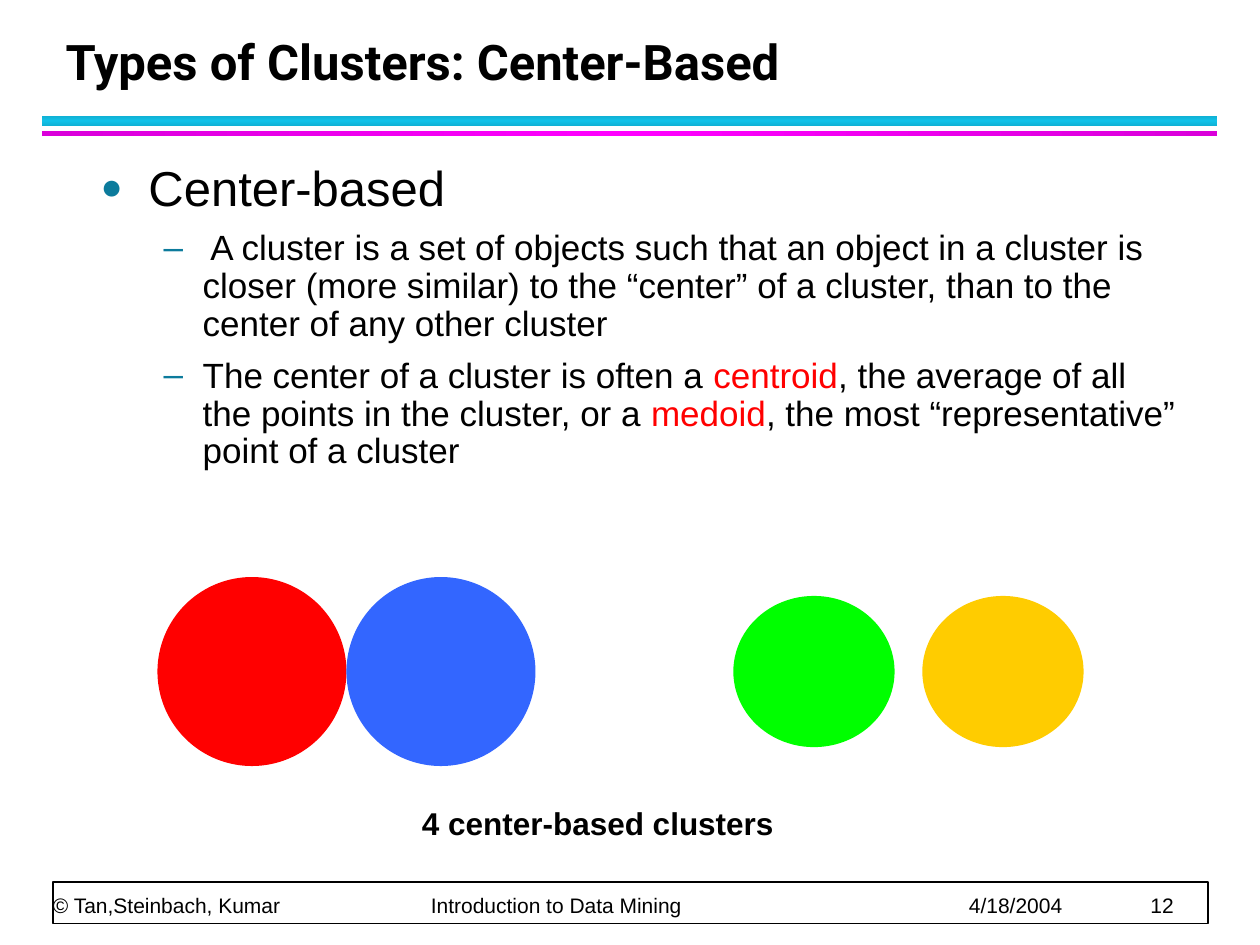
from pptx import Presentation
from pptx.dml.color import RGBColor
from pptx.enum.shapes import MSO_SHAPE as Shape
from pptx.enum.text import MSO_ANCHOR as Anchor, MSO_AUTO_SIZE as AutoSize, PP_ALIGN as Align
from pptx.oxml.xmlchemy import OxmlElement
from pptx.util import Inches, Pt

COLORS = {
    "black": "000000", "white": "FFFFFF", "bullet": "0C7B9C",
    "cyan": "12C2E9", "dark cyan": "10B0D3",
    "magenta": "FF00FF", "dark magenta": "DA00DA",
    "red": "FF0000", "blue": "3366FF", "green": "00FF00", "gold": "FFCC00",
}


def add_element(parent, tag, **attributes):
    element = OxmlElement(tag)
    for name, value in attributes.items():
        element.set(name, str(value))
    parent.append(element)
    return element


class SlideBuilder:
    font = "Arial"
    title_font = "Roboto"

    def __init__(self, presentation):
        self.slide = presentation.slides.add_slide(presentation.slide_layouts[5])

    def color(self, name):
        return RGBColor.from_string(COLORS[name])

    def place(self, shape, left, top, width, height):
        shape.left, shape.top = Inches(left), Inches(top)
        shape.width, shape.height = Inches(width), Inches(height)

    def add_run(self, paragraph, text, size, color="black", bold=False, font=None):
        run = paragraph.add_run()
        run.text = text
        run.font.name = font or self.font
        run.font.size = Pt(size)
        run.font.bold = bold
        run.font.color.rgb = self.color(color)

    def title(self, text, *box):
        shape = self.slide.shapes.title
        self.place(shape, *box)
        frame = shape.text_frame
        frame.auto_size = AutoSize.NONE
        frame.vertical_anchor = Anchor.BOTTOM
        paragraph = frame.paragraphs[0]
        paragraph.alignment = Align.LEFT
        paragraph.line_spacing = Pt(36)
        self.add_run(paragraph, text, 28, bold=True, font=self.title_font)

    def shape(self, kind, fill, *box, line=None):
        shape = self.slide.shapes.add_shape(kind, *map(Inches, box))
        shape.shadow.inherit = False
        shape.fill.solid()
        shape.fill.fore_color.rgb = self.color(fill)
        if line:
            shape.line.color.rgb = self.color(line)
            shape.line.width = Pt(1)
        else:
            shape.line.fill.background()
        return shape

    def gradient_bar(self, edge, middle, angle, *box):
        bar = self.shape(Shape.RECTANGLE, middle, *box)
        bar.fill.gradient()
        bar.fill.gradient_angle = angle
        stops = bar.fill.gradient_stops
        stop_list = bar.element.spPr.find(".//{*}gsLst")
        for stop in list(stop_list)[:len(stops)]:
            stop_list.remove(stop)
        for percent, name in ((0, edge), (50, middle), (100, edge)):
            stop = add_element(stop_list, "a:gs", pos=percent * 1000)
            add_element(stop, "a:srgbClr", val=COLORS[name])

    def text_box(self, *box):
        frame = self.slide.shapes.add_textbox(*map(Inches, box)).text_frame
        frame.word_wrap = True
        return frame

    def bullet(self, paragraph, runs, size, mark, margin, hang, mark_size):
        paragraph.line_spacing = 0.9
        paragraph.space_before = Pt(size * 0.2)
        paragraph.space_after = Pt(4)
        properties = paragraph._p.get_or_add_pPr()
        properties.set("marL", str(Inches(margin)))
        properties.set("indent", str(-Inches(hang)))
        bullet_color = add_element(properties, "a:buClr")
        add_element(bullet_color, "a:srgbClr", val=COLORS["bullet"])
        add_element(properties, "a:buSzPct", val=mark_size * 1000)
        add_element(properties, "a:buFont", typeface=self.font)
        add_element(properties, "a:buChar", char=mark)
        for text, color in runs:
            self.add_run(paragraph, text, size, color)

    def body(self, heading, points, *box):
        frame = self.text_box(*box)
        self.bullet(frame.paragraphs[0], [(heading, "black")], 28, "●", 0.38, 0.38, 75)
        for runs in points:
            paragraph = frame.add_paragraph()
            paragraph.level = 1
            self.bullet(paragraph, runs, 20, "–", 0.81, 0.31, 100)

    def caption(self, text, *box):
        paragraph = self.text_box(*box).paragraphs[0]
        paragraph.space_before = Pt(9)
        self.add_run(paragraph, text, 18, bold=True)

    def footer(self, entries, tab_stops, *box):
        frame = self.text_box(*box)
        frame.vertical_anchor = Anchor.BOTTOM
        frame.margin_left = frame.margin_right = 0
        frame.margin_top = frame.margin_bottom = 0
        paragraph = frame.paragraphs[0]
        paragraph.line_spacing = Pt(20)
        tab_list = add_element(paragraph._p.get_or_add_pPr(), "a:tabLst")
        for position in tab_stops:
            add_element(tab_list, "a:tab", pos=Inches(position), algn="l")
        self.add_run(paragraph, "\t".join(entries), 12)


def main():
    presentation = Presentation()
    presentation.slide_width = Inches(10)
    presentation.slide_height = Inches(7.5)
    builder = SlideBuilder(presentation)

    builder.gradient_bar("dark cyan", "cyan", 90, 0.33, 0.92, 9.33, 0.08)
    builder.gradient_bar("dark magenta", "magenta", 0, 0.33, 1.04, 9.33, 0.04)
    builder.shape(Shape.RECTANGLE, "white", 0.42, 7, 9.17, 0.33, line="black")
    builder.footer(
        ["© Tan,Steinbach, Kumar", "Introduction to Data Mining", "4/18/2004", "12"],
        [3, 7.27, 8.71], 0.42, 7, 9.15, 0.28)

    builder.title("Types of Clusters: Center-Based", 0.42, 0.17, 9.06, 0.6)
    builder.body("Center-based", [
        [(" A cluster is a set of objects such that an object in a cluster is closer "
          "(more similar) to the “center” of a cluster, than to the center of any "
          "other cluster", "black")],
        [("The center of a cluster is often a ", "black"), ("centroid", "red"),
         (", the average of all the points in the cluster, or a ", "black"),
         ("medoid", "red"),
         (", the most “representative” point of a cluster", "black")],
    ], 0.7, 1.25, 8.75, 5.59)

    center_y = 5.33
    clusters = [("red", 1.25, 1.5, 1.5), ("blue", 2.75, 1.5, 1.5),
                ("green", 5.82, 1.28, 1.2), ("gold", 7.32, 1.28, 1.2)]
    for color, left, width, height in clusters:
        builder.shape(Shape.OVAL, color, left, center_y - height / 2, width, height)
    builder.caption("4 center-based clusters", 3.25, 6.33, 3.5, 0.4)

    presentation.save("out.pptx")


if __name__ == "__main__":
    main()
